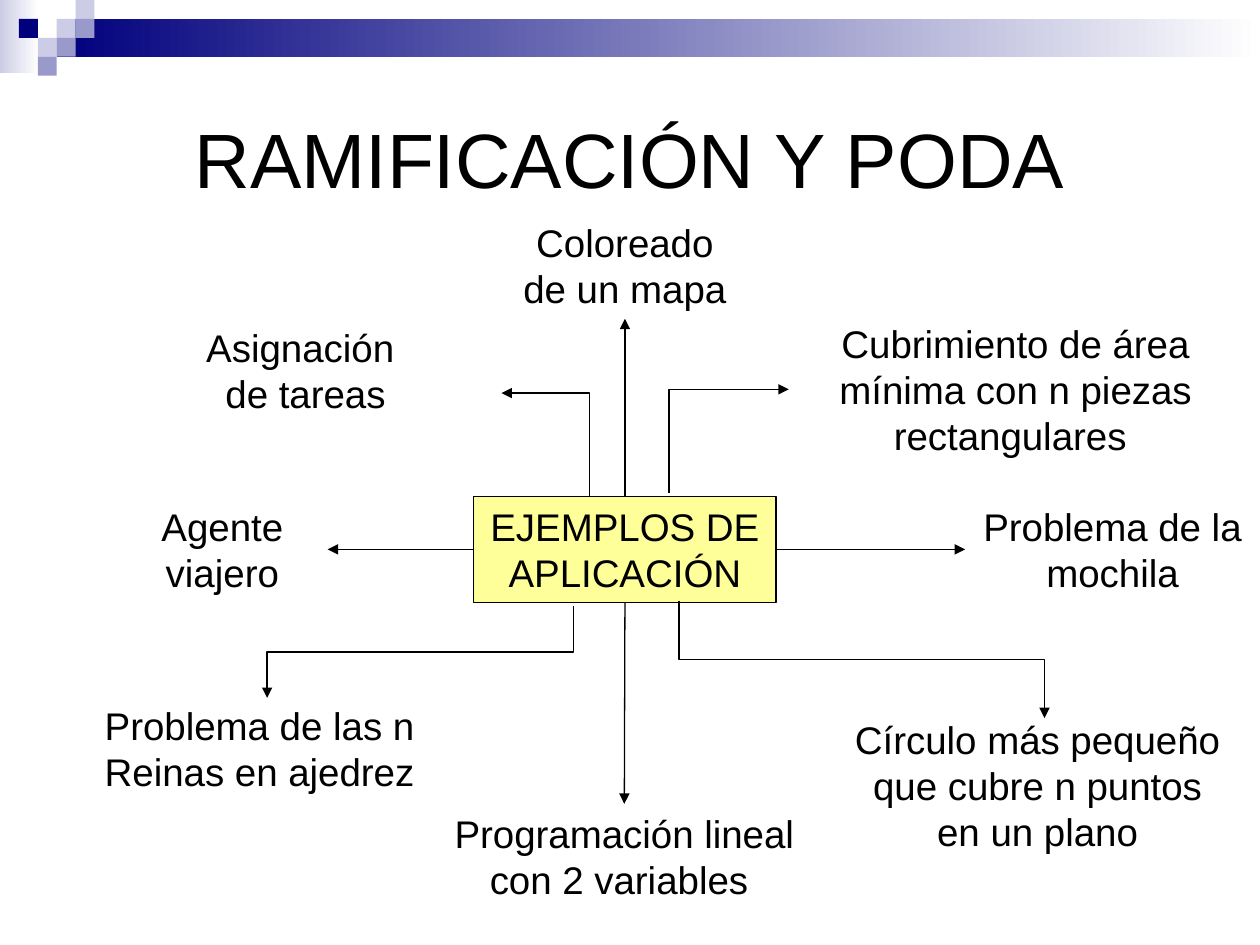
from pptx import Presentation
from pptx.dml.color import RGBColor
from pptx.enum.shapes import MSO_CONNECTOR as Conn, MSO_SHAPE as Shape
from pptx.enum.text import MSO_ANCHOR as Anchor, PP_ALIGN as Align
from pptx.oxml.ns import qn
from pptx.util import Inches, Pt
from lxml.etree import SubElement

BLACK = RGBColor(0x00, 0x00, 0x00)
WHITE = RGBColor(0xFF, 0xFF, 0xFF)
NAVY = RGBColor(0x00, 0x00, 0x7D)
BLUE = RGBColor(0x99, 0x99, 0xCC)
PALE = RGBColor(0xCC, 0xCC, 0xE6)
CREAM = RGBColor(0xFF, 0xFF, 0x99)

# The slide is a grid of 100 columns by 75 rows
deck = Presentation()
deck.slide_width, deck.slide_height = Inches(10), Inches(7.5)
CELL = deck.slide_width / 100
slide = deck.slides.add_slide(deck.slide_layouts[6])
shapes = slide.shapes


def grid(*cells):
    return [round(n * CELL) for n in cells]


def write(shape, text, size=22, anchor=Anchor.TOP):
    frame = shape.text_frame
    frame.word_wrap = True
    frame.vertical_anchor = anchor
    frame.text = text
    for par in frame.paragraphs:
        par.alignment = Align.CENTER
        par.font.name = "Arial"
        par.font.size = Pt(size)
        par.font.color.rgb = BLACK


# Header: two fading bars and a mosaic of small squares
for area, tint in [((0, 0, 3.1, 5.8), PALE), ((4.5, 1.5, 95.5, 3), NAVY)]:
    bar = shapes.add_shape(Shape.RECTANGLE, *grid(*area))
    bar.shadow.inherit = False
    bar.line.fill.background()
    bar.fill.gradient()
    bar.fill.gradient_angle = 0
    for stop, color in zip(bar.fill.gradient_stops, (tint, WHITE)):
        stop.color.rgb = color

TILE = 1.5
tiles = [(3, 1, PALE), (4, 0, PALE), (4, 1, BLUE), (2, 2, PALE),
         (1, 1, NAVY), (3, 2, BLUE), (2, 3, BLUE)]
for col, row, color in tiles:
    tile = shapes.add_shape(Shape.RECTANGLE,
                            *grid(col * TILE, row * TILE, TILE, TILE))
    tile.shadow.inherit = False
    tile.line.fill.background()
    tile.fill.solid()
    tile.fill.fore_color.rgb = color

write(shapes.add_textbox(*grid(5, 5, 90, 15)), "RAMIFICACIÓN Y PODA",
      size=44, anchor=Anchor.MIDDLE)

# Centre box
hub = shapes.add_shape(Shape.RECTANGLE, *grid(37.6, 39.4, 24, 8.4))
hub.shadow.inherit = False
hub.fill.solid()
hub.fill.fore_color.rgb = CREAM
hub.line.color.rgb = BLACK
hub.line.width = Pt(0.75)
write(hub, "EJEMPLOS DE APLICACIÓN")

arrows = []

# Labels in line with the box: text, area, side of box, side of label
straight = [
    ("Coloreado de un mapa", (39.8, 16.9, 19.6, 8.4), 0, 2),
    ("Agente viajero", (9.3, 39.4, 16.7, 8.4), 1, 3),
    ("Programación lineal con 2 variables ", (35, 63.8, 29.1, 8.4), 2, 0),
    ("Problema de la mochila", (76.6, 39.4, 23.4, 8.4), 3, 1),
]
for text, area, start, end in straight:
    label = shapes.add_textbox(*grid(*area))
    write(label, text)
    arrow = shapes.add_connector(Conn.STRAIGHT, 0, 0, 0, 0)
    arrow.begin_connect(hub, start)
    arrow.end_connect(label, end)
    arrows.append(arrow)

# Labels at the corners: text, area, start and end of arrow, preset
corners = [
    ("Asignación \nde tareas", (7.8, 25.2, 32.9, 8.4),
     (46.8, 39.4), (39.8, 31.2), "bentConnector2"),
    ("Cubrimiento de área mínima con n piezas rectangulares ",
     (61.2, 24.9, 38.8, 12), (53.1, 39.1), (62.6, 30.9), "bentConnector2"),
    ("Problema de las n Reinas en ajedrez", (5.9, 55.2, 29.4, 8.4),
     (45.5, 48.1), (21.2, 55.4), "bentConnector3"),
    ("Círculo más pequeño que cubre n puntos en un plano",
     (66.5, 56.3, 31.7, 12), (53.9, 47.7), (82.9, 57), "bentConnector3"),
]
for text, area, (x1, y1), (x2, y2), preset in corners:
    write(shapes.add_textbox(*grid(*area)), text)
    # An elbow that leaves vertically lies on its side, turned about its middle
    midx, midy = (x1 + x2) / 2, (y1 + y2) / 2
    right, up = x2 > x1, y2 < y1
    wide = abs(y2 - y1) / 2 * (-1 if right else 1)
    high = abs(x2 - x1) / 2 * (-1 if up else 1)
    arrow = shapes.add_connector(
        Conn.ELBOW, *grid(midx - wide, midy - high, midx + wide, midy + high))
    props = arrow._element.spPr
    turn = 90 if right == up else 270
    props.find(qn("a:xfrm")).set("rot", str(turn * 60000))
    props.find(qn("a:prstGeom")).set("prst", preset)
    arrows.append(arrow)

for arrow in arrows:
    arrow.line.color.rgb = BLACK
    arrow.line.width = Pt(0.75)
    props = arrow._element.spPr
    SubElement(props.find(qn("a:ln")), qn("a:tailEnd"), type="triangle")
    SubElement(props, qn("a:effectLst"))

deck.save("out.pptx")
